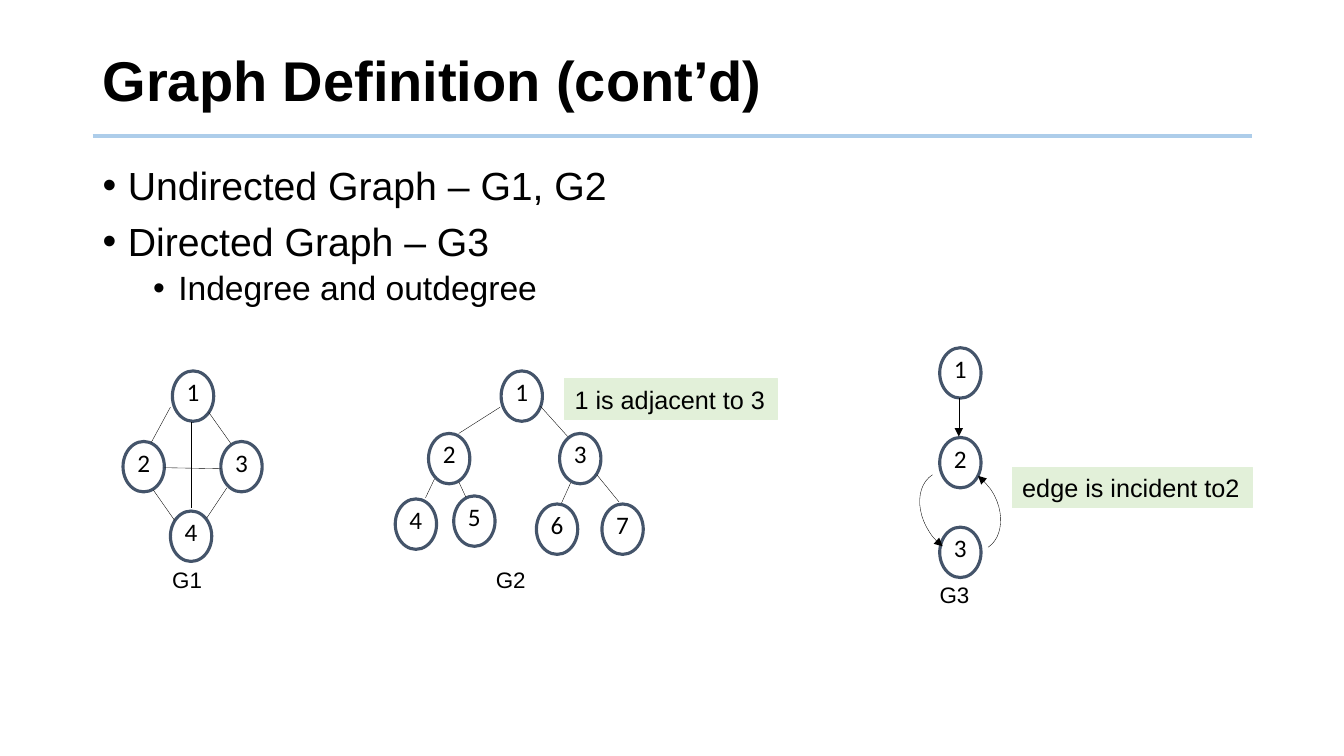
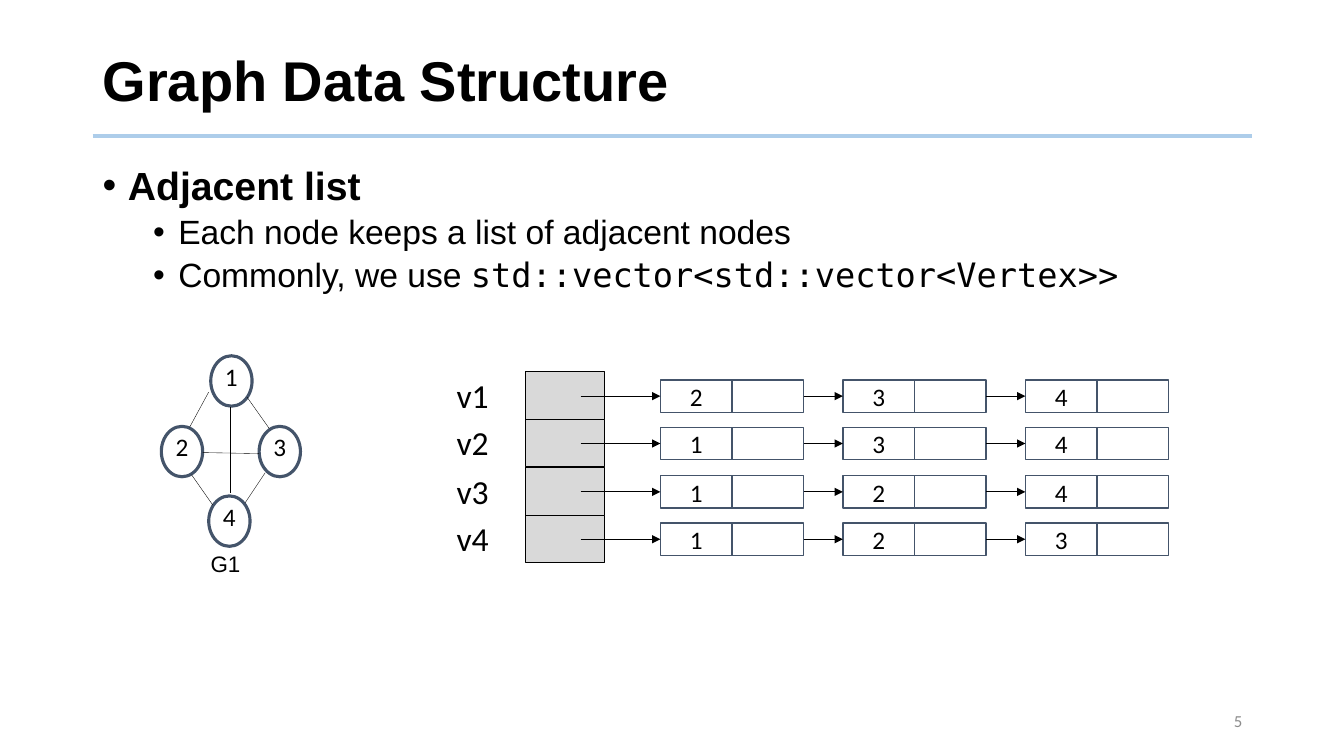
from lxml.etree import SubElement
from pptx import Presentation
from pptx.dml.color import RGBColor
from pptx.enum.shapes import MSO_CONNECTOR, MSO_SHAPE
from pptx.enum.text import MSO_ANCHOR, PP_ALIGN
from pptx.oxml.ns import qn
from pptx.util import Pt

SCALE = 9144
BLACK, SLATE, RULE = "000000", "44546A", "ADCDEA"
GREEN, GREY, NUMBER_GREY = "E2F0D9", "D9D9D9", "8C8C8C"
SANS, DIAGRAM, CODE = "Arial", "Calibri", "DejaVu Sans Mono"
NODE_WIDTH, NODE_HEIGHT = 41, 50

G1 = {
    "nodes": {"1": (49, 0), "2": (0, 70), "3": (97, 70), "4": (47, 139)},
    "edges": [(85, 41, 107, 72), (83, 146, 103, 116), (30, 118, 51, 148),
              (28, 71, 47, 36), (41, 96, 97, 97), (68, 51, 68, 136)],
    "caption": ("G1", 39, 188),
}
G2 = {
    "nodes": {"1": (105, 0), "2": (33, 62), "3": (163, 62), "4": (0, 127),
              "5": (58, 124), "6": (140, 132), "7": (205, 132)},
    "edges": [(63, 62, 104, 36), (144, 35, 171, 65), (63, 110, 70, 125),
              (39, 107, 30, 126), (200, 103, 222, 130), (174, 111, 165, 131)],
    "caption": ("G2", 90, 188),
}
G3 = {
    "nodes": {"1": (21, 0), "2": (21, 89), "3": (21, 178)},
    "edges": [(40, 50, 40, 88)],
    "arcs": [
        [(14, 126), (-2, 136), (-3, 162), (11, 183), (14, 188), (19, 193), (24, 197)],
        [(69, 198), (84, 188), (86, 162), (72, 141), (68, 136), (64, 131), (59, 127)],
    ],
    "caption": ("G3", 11, 226),
    "directed": True,
}
ADJACENCY = {"v1": "234", "v2": "134", "v3": "124", "v4": "123"}


def px(*lengths):
    return [round(length * SCALE) for length in lengths]


def color(value):
    return RGBColor.from_string(value)


def add_span(para, text, size, font=SANS, bold=False, ink=BLACK):
    span = para.add_run()
    span.text = text
    span.font.size = Pt(size)
    span.font.name = font
    span.font.bold = bold
    span.font.color.rgb = color(ink)


def add_label(page, box, text, size, font=SANS, bold=False, ink=BLACK,
              anchor=MSO_ANCHOR.MIDDLE, align=PP_ALIGN.LEFT, wrap=False):
    frame = page.shapes.add_textbox(*px(*box)).text_frame
    frame.word_wrap = wrap
    frame.vertical_anchor = anchor
    para = frame.paragraphs[0]
    para.alignment = align
    add_span(para, text, size, font, bold, ink)
    return para


def style_line(line, ink, width, arrow=False):
    line.color.rgb = color(ink)
    line.width = Pt(width)
    if arrow:
        SubElement(line._get_or_add_ln(), qn("a:tailEnd"), type="triangle")


def add_line(page, ends, ink=BLACK, width=0.25, arrow=False):
    line = page.shapes.add_connector(MSO_CONNECTOR.STRAIGHT, *px(*ends))
    style_line(line.line, ink, width, arrow)
    SubElement(line._element.spPr, qn("a:effectLst"))


def add_box(page, box, ink, width, fill=None, kind=MSO_SHAPE.RECTANGLE):
    shape = page.shapes.add_shape(kind, *px(*box))
    shape.shadow.inherit = False
    if fill:
        shape.fill.solid()
        shape.fill.fore_color.rgb = color(fill)
    else:
        shape.fill.background()
    style_line(shape.line, ink, width)
    return shape


def add_node(page, left, top, name):
    node = add_box(page, (left, top, NODE_WIDTH, NODE_HEIGHT), SLATE, 2.25, kind=MSO_SHAPE.OVAL)
    frame = node.text_frame
    frame.margin_left = frame.margin_right = frame.margin_top = frame.margin_bottom = 0
    frame.vertical_anchor = MSO_ANCHOR.TOP
    para = frame.paragraphs[0]
    para.alignment = PP_ALIGN.CENTER
    para.line_spacing = 0.96
    add_span(para, name, 18, DIAGRAM)


def bezier(points, steps=12):
    for step in range(1, steps + 1):
        t = step / steps
        weights = ((1 - t) ** 3, 3 * t * (1 - t) ** 2, 3 * t * t * (1 - t), t ** 3)
        yield tuple(sum(w * point[axis] for w, point in zip(weights, points)) for axis in (0, 1))


def add_arc(page, points):
    builder = page.shapes.build_freeform(*px(*points[0]), scale=1.0)
    for first in range(0, len(points) - 1, 3):
        curve = [px(*point) for point in bezier(points[first:first + 4])]
        builder.add_line_segments(curve, close=False)
    arc = builder.convert_to_shape()
    arc.shadow.inherit = False
    arc.fill.background()
    style_line(arc.line, BLACK, 0.25, arrow=True)


def add_graph(page, left, top, graph):
    for name, (x, y) in graph["nodes"].items():
        add_node(page, left + x, top + y, name)
    for x1, y1, x2, y2 in graph["edges"]:
        add_line(page, (left + x1, top + y1, left + x2, top + y2), arrow=graph.get("directed", False))
    for arc in graph.get("arcs", []):
        add_arc(page, [(left + x, top + y) for x, y in arc])
    caption, x, y = graph["caption"]
    add_label(page, (left + x, top + y, 56, 37), caption, 16)


def add_note(page, box, text):
    frame = add_box(page, box, GREEN, 0.75, GREEN).text_frame
    frame.word_wrap = False
    para = frame.paragraphs[0]
    para.alignment = PP_ALIGN.LEFT
    add_span(para, text, 18)


def add_list_cell(page, left, top, width, value):
    height = 32
    frame = add_box(page, (left, top, width, height), SLATE, 1).text_frame
    add_box(page, (left + width, top, width, height), SLATE, 1)
    frame.word_wrap = False
    frame.vertical_anchor = MSO_ANCHOR.MIDDLE
    para = frame.paragraphs[0]
    para.alignment = PP_ALIGN.CENTER
    add_span(para, value, 18, DIAGRAM)


def add_adjacency_list(page, left, top, height):
    head_left, cells_left, cell_width, pitch = left + 78, left + 212, 71, 181
    for row, (vertex, neighbours) in enumerate(ADJACENCY.items()):
        row_top = top + row * height // len(ADJACENCY)
        middle = row_top + 24
        add_label(page, (left, row_top - 2, 52, 51), vertex, 24, DIAGRAM, anchor=MSO_ANCHOR.TOP)
        add_box(page, (head_left, row_top, 79, 47), BLACK, 0.75, GREY)
        arrow_start = head_left + 55
        for column, value in enumerate(neighbours):
            cell_left = cells_left + column * pitch
            add_list_cell(page, cell_left, row_top + 8, cell_width, value)
            add_line(page, (arrow_start, middle, cell_left, middle), width=0.75, arrow=True)
            arrow_start = cell_left + 2 * cell_width


def add_bullets(page, box, bullets):
    frame = page.shapes.add_textbox(*px(*box)).text_frame
    frame.word_wrap = True
    for index, (level, spans) in enumerate(bullets):
        para = frame.add_paragraph() if index else frame.paragraphs[0]
        para.level = level
        para.line_spacing = 0.9
        para.space_before = Pt(5 if level else 10)
        properties = para._p.get_or_add_pPr()
        margin, hanging = px(75 if level else 25, -25)
        properties.set("marL", str(margin))
        properties.set("indent", str(hanging))
        SubElement(properties, qn("a:buFont"), typeface=SANS)
        SubElement(properties, qn("a:buChar"), char="•")
        for text, font, bold in spans:
            add_span(para, text, 24 if level else 28, font, bold)


def add_page(deck, title, bullets, number=None):
    page = deck.slides.add_slide(deck.slide_layouts[6])
    add_line(page, (92, 135, 1242, 135), RULE, 3)
    heading = add_label(page, (92, 28, 1150, 110), title, 40, bold=True, wrap=True)
    heading.line_spacing = 0.9
    add_bullets(page, (92, 160, 1150, 515), bullets)
    if number:
        add_label(page, (942, 695, 300, 40), number, 12, DIAGRAM,
                  ink=NUMBER_GREY, align=PP_ALIGN.RIGHT, wrap=True)
    return page


def add_definition_page(deck):
    page = add_page(deck, "Graph Definition (cont’d)", [
        (0, [("Undirected Graph – G1, G2", SANS, False)]),
        (0, [("Directed Graph – G3", SANS, False)]),
        (1, [("Indegree and outdegree", SANS, False)]),
    ])
    add_graph(page, 122, 368, G1)
    add_graph(page, 392, 368, G2)
    add_graph(page, 911, 345, G3)
    add_note(page, (560, 376, 211, 40), "1 is adjacent to 3")
    add_note(page, (1004, 464, 238, 40), "edge is incident to2")


def add_structure_page(deck):
    page = add_page(deck, "Graph Data Structure", [
        (0, [("Adjacent list", SANS, True)]),
        (1, [("Each node keeps a list of adjacent nodes", SANS, False)]),
        (1, [("Commonly, we use ", SANS, False),
             ("std::vector<std::vector<Vertex>>", CODE, False)]),
    ], "5")
    add_graph(page, 160, 353, G1)
    add_adjacency_list(page, 443, 369, 190)


def main():
    deck = Presentation()
    deck.slide_width, deck.slide_height = px(1333, 750)
    add_definition_page(deck)
    add_structure_page(deck)
    deck.save("out.pptx")


if __name__ == "__main__":
    main()
